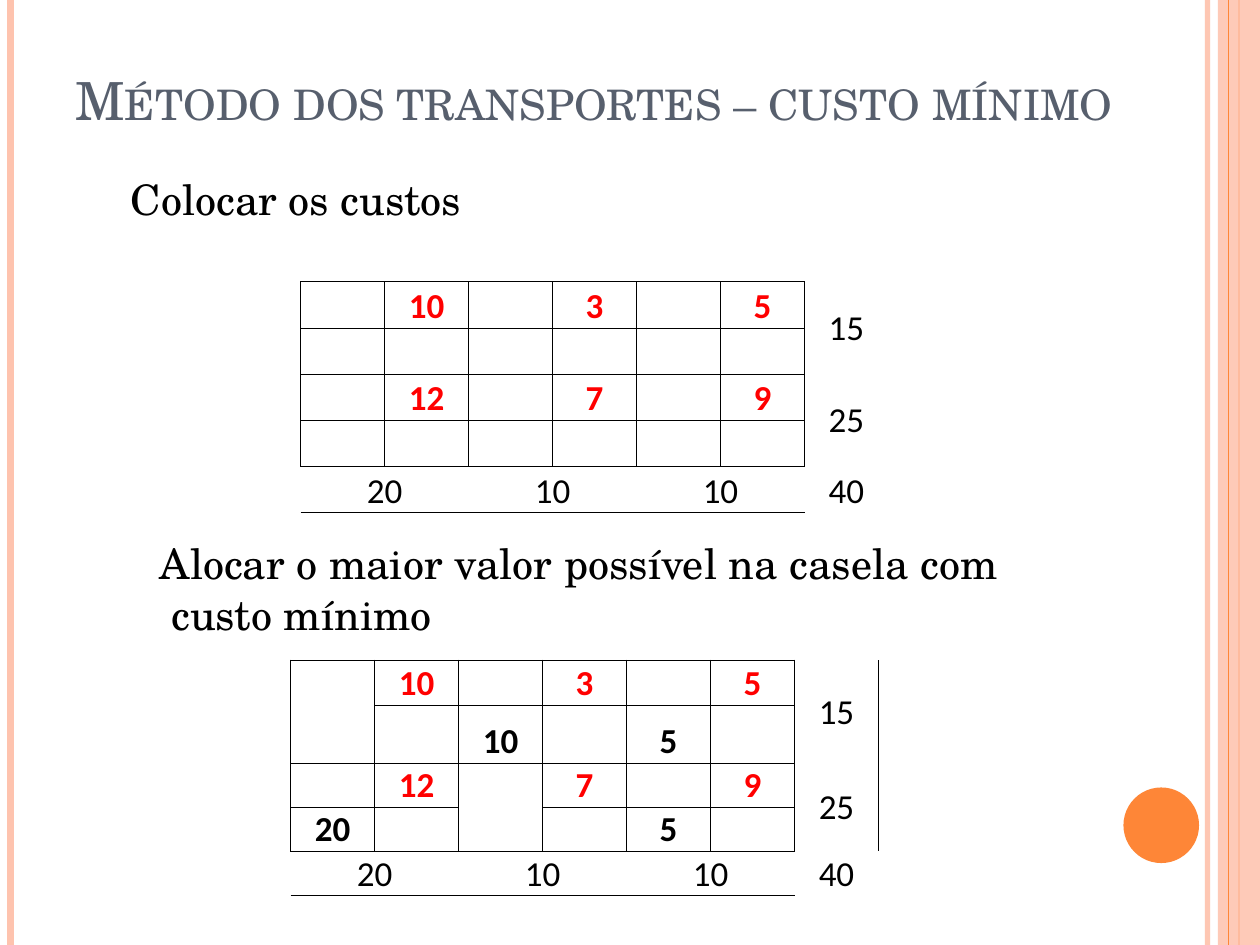
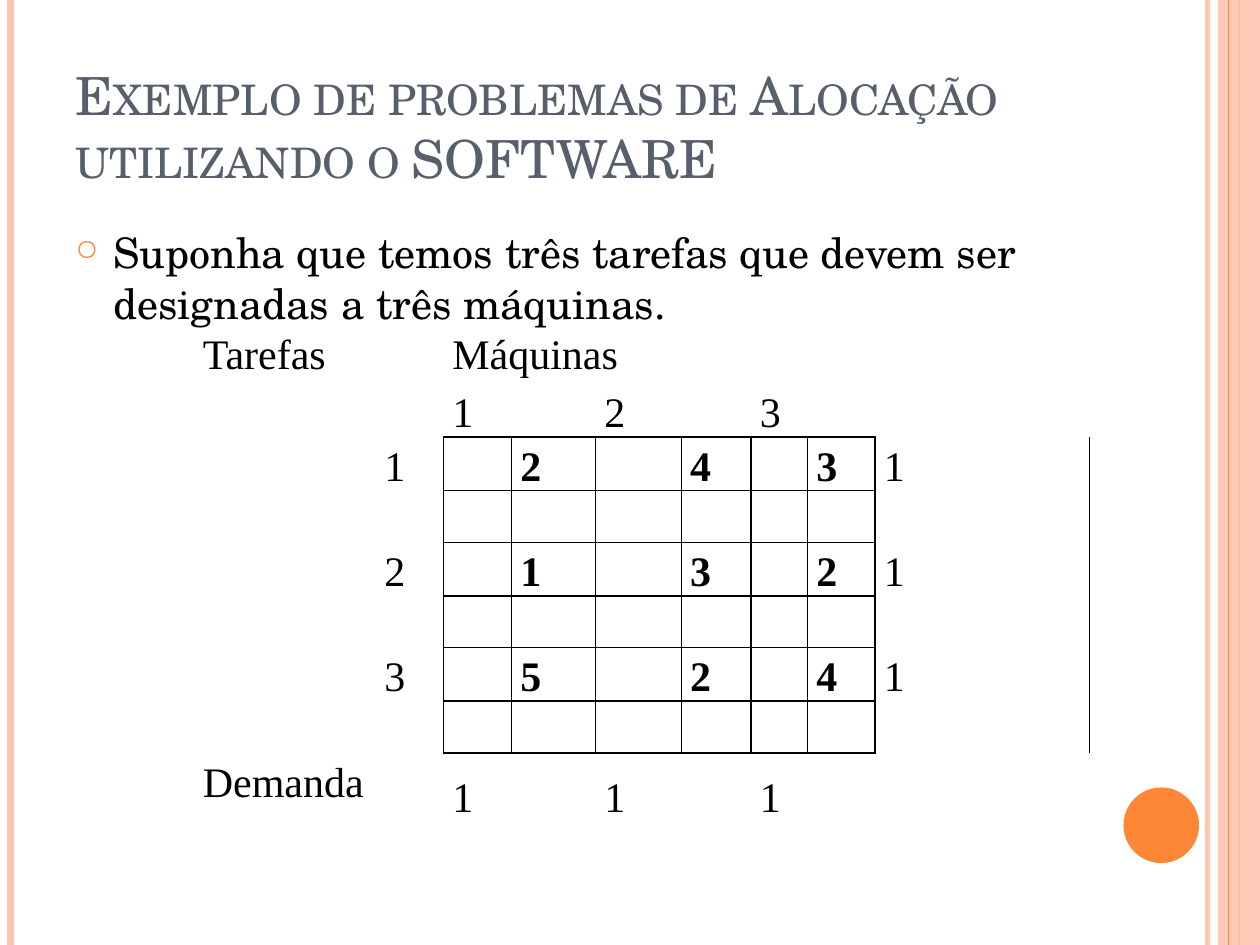
from lxml.etree import SubElement
from pptx import Presentation
from pptx.dml.color import RGBColor
from pptx.enum.shapes import MSO_CONNECTOR, MSO_SHAPE
from pptx.enum.text import MSO_ANCHOR as ANCHOR, MSO_AUTO_SIZE as AUTO, PP_ALIGN as ALIGN
from pptx.oxml.ns import qn
from pptx.util import Pt

WIDTH, HEIGHT = 720, 540
COLORS = {"peach": "FEC3AE", "orange": "FE8637", "title": "575F6D",
          "text": "000000", "cost": "FF0000"}
SERIF, SANS, TIMES = "TeX Gyre Schola", "Calibri", "Times New Roman"
PLAIN_TABLE = "{2D5ABB26-0587-4C30-8999-92F81FD0307C}"
COST_MARGINS = (0.72, 0.72, 0.72, 0)
TASK_MARGINS = (5.04, 0, 5.04, 0)


def rgb(name):
    return RGBColor.from_string(COLORS[name])


def set_font(p, name, size, color="text", bold=False):
    p.font.name, p.font.size, p.font.bold = name, Pt(size), bold
    p.font.color.rgb = rgb(color)


def set_alpha(element, percent):
    for clr in element.iter(qn("a:srgbClr")):
        SubElement(clr, qn("a:alpha"), val=str(percent * 1000))


# Shared slide parts

def add_rule(slide, x, color, width, alpha=None):
    line = slide.shapes.add_connector(MSO_CONNECTOR.STRAIGHT, Pt(x), 0, Pt(x), Pt(HEIGHT))
    line.line.color.rgb, line.line.width = rgb(color), Pt(width)
    sp_pr = line._element.spPr
    if alpha:
        set_alpha(sp_pr, alpha)
    SubElement(sp_pr, qn("a:effectLst"))


def add_solid(slide, kind, box, color):
    sp = slide.shapes.add_shape(kind, *map(Pt, box))
    sp.shadow.inherit = False
    sp.fill.solid()
    sp.fill.fore_color.rgb = rgb(color)
    sp.line.fill.background()
    return sp


def add_backdrop(slide):
    add_rule(slide, 690, "peach", 3, 93)
    add_rule(slide, 6, "peach", 4.5)
    add_rule(slide, 708, "orange", 1.5)
    band = add_solid(slide, MSO_SHAPE.RECTANGLE, (696, 0, 24, HEIGHT), "peach")
    set_alpha(band._element.spPr, 87)
    add_rule(slide, 702, "orange", 0.75)
    add_solid(slide, MSO_SHAPE.OVAL, (642, 450, 43.2, 43.2), "orange")


def add_text(slide, box, lines, size=24, color="text", wrap=True, anchor=ANCHOR.TOP):
    tf = slide.shapes.add_textbox(*map(Pt, box)).text_frame
    tf.word_wrap, tf.vertical_anchor = wrap, anchor
    tf.auto_size = AUTO.NONE if wrap else AUTO.SHAPE_TO_FIT_TEXT
    for i, line in enumerate(lines):
        p = tf.add_paragraph() if i else tf.paragraphs[0]
        p.text = line
        set_font(p, SERIF, size, color)
    return tf


def new_slide(prs, title, title_box):
    slide = prs.slides.add_slide(prs.slide_layouts[6])
    add_backdrop(slide)
    tf = add_text(slide, title_box, [title], 30, "title", anchor=ANCHOR.BOTTOM)
    tf.paragraphs[0].font._rPr.set("cap", "small")
    return slide


def add_bullet(p):
    p.space_before = Pt(6)
    p_pr = p._p.get_or_add_pPr()
    p_pr.set("marL", str(Pt(21.6)))
    p_pr.set("indent", str(-Pt(21.6)))
    color = SubElement(p_pr, qn("a:buClr"))
    SubElement(color, qn("a:srgbClr"), val=COLORS["orange"])
    SubElement(p_pr, qn("a:buSzPct"), val="70000")
    SubElement(p_pr, qn("a:buChar"), char="○")
    # Default run properties follow the bullet in the schema
    p_pr.append(p_pr.find(qn("a:defRPr")))


# Tables

def add_plain_table(slide, left, top, cols, rows, margins):
    table = slide.shapes.add_table(len(rows), len(cols), Pt(left), Pt(top),
                                   Pt(sum(cols)), Pt(sum(rows))).table
    table.first_row = table.horz_banding = False
    table._tbl.tblPr.find(qn("a:tableStyleId")).text = PLAIN_TABLE
    for column, width in zip(table.columns, cols):
        column.width = Pt(width)
    for row, height in zip(table.rows, rows):
        row.height = Pt(height)
    for cell in table.iter_cells():
        (cell.margin_left, cell.margin_top,
         cell.margin_right, cell.margin_bottom) = map(Pt, margins)
        SubElement(cell.text_frame.paragraphs[0]._p, qn("a:endParaRPr"), sz="800")
    return table


def merge(table, r0, c0, r1, c1):
    table.cell(r0, c0).merge(table.cell(r1, c1))


def frame(edges, r0, c0, r1, c1):
    """Note the outline of a block of cells on both sides of each edge."""
    for r in range(r0, r1 + 1):
        edges |= {(r, c0, "L"), (r, c0 - 1, "R"), (r, c1, "R"), (r, c1 + 1, "L")}
    for c in range(c0, c1 + 1):
        edges |= {(r0, c, "T"), (r0 - 1, c, "B"), (r1, c, "B"), (r1 + 1, c, "T")}


def draw_grid(table, groups, first_row, n_rows, width):
    """Frame every route and the cost in its upper right corner."""
    edges = set()
    for r in range(first_row, first_row + 2 * n_rows, 2):
        for start, end in groups:
            frame(edges, r, start, r + 1, end)
            frame(edges, r, end, r, end)
    for r in range(len(table.rows)):
        for c in range(len(table.columns)):
            cell = table.cell(r, c)
            tc_pr = cell._tc.get_or_add_tcPr()
            for side in "LRTB":
                if (r, c, side) in edges:
                    ln = SubElement(tc_pr, qn("a:ln" + side), w=str(Pt(width)))
                    fill = SubElement(ln, qn("a:solidFill"))
                    SubElement(fill, qn("a:srgbClr"), val=COLORS["text"])
            cell.fill.background()


def write(table, r, c, text, anchor=ANCHOR.BOTTOM, color="text", bold=False):
    cell = table.cell(r, c)
    cell.vertical_anchor = anchor
    p = cell.text_frame.paragraphs[0]
    p.text = text
    p.alignment = ALIGN.CENTER
    set_font(p, SANS, 20, color, bold)


def write_task(table, r, c, text, anchor=ANCHOR.TOP, bold=False):
    write(table, r, c, text, anchor, bold=bold)
    p = table.cell(r, c).text_frame.paragraphs[0]
    p.alignment, p.line_spacing = ALIGN.JUSTIFY, 1.15
    set_font(p, TIMES, 24, bold=bold)


def add_transport_table(slide, left, top, n_cols, rows, allocations=(), merges=()):
    table = add_plain_table(slide, left, top, [48] * n_cols, rows, COST_MARGINS)
    groups = [(1, 2), (3, 4), (5, 6)]
    for block in merges:
        merge(table, *block)
    costs = (("10", "3", "5"), ("12", "7", "9"))
    for r, row_costs, supply in zip((1, 3), costs, ("15", "25")):
        for (_, end), cost in zip(groups, row_costs):
            write(table, r, end, cost, color="cost", bold=True)
        merge(table, r, 7, r + 1, 7)
        write(table, r, 7, supply, ANCHOR.MIDDLE)
    for (start, end), demand in zip(groups, ("20", "10", "10")):
        merge(table, 5, start, 5, end)
        write(table, 5, start, demand)
    write(table, 5, 7, "40")
    for r, c, amount in allocations:
        write(table, r, c, amount, bold=True)
    draw_grid(table, groups, 1, 2, 0.5)


def add_task_table(slide):
    cols = [103.7, 38.9, 38.9, 48, 24.5, 24.5, 39.9, 32.3, 38.6, 122.4]
    rows = [33, 31] + [30.2, 29.6] * 3 + [48.2]
    table = add_plain_table(slide, 110.9, 185.8, cols, rows, TASK_MARGINS)
    groups = [(2, 3), (4, 6), (7, 8)]
    merge(table, 0, 2, 0, 4)
    merge(table, 0, 5, 0, 9)
    for r, c, label in ((0, 0, "Tarefas"), (0, 2, "Máquinas"), (8, 0, "Demanda")):
        write_task(table, r, c, label)
    # Machine numbers above, demand below
    for machine, (start, end) in enumerate(groups, 1):
        for r, text in ((1, str(machine)), (8, "1")):
            merge(table, r, start, r, end)
            write_task(table, r, start, text, ANCHOR.MIDDLE)
    # One pair of rows for each task
    for task, costs in enumerate(("243", "132", "524"), 1):
        r = 2 * task
        write_task(table, r, 1, str(task))
        for (_, end), cost in zip(groups, costs):
            write_task(table, r, end, cost, bold=True)
        write_task(table, r, 9, "1")
        for half in (r, r + 1):
            merge(table, half, 4, half, 5)
    draw_grid(table, groups, 2, 3, 1)


# Slides

def transport_slide(prs):
    slide = new_slide(prs, "Método dos transportes – custo mínimo", (36, 21.6, 633.6, 56.9))
    add_transport_table(slide, 123.8, 134.6, 8, [26.4] * 7)
    add_transport_table(
        slide, 118.1, 362.9, 9, [14.3, 25.7, 33.2, 25.2, 25.1, 25.2, 14.2, 14.2],
        allocations=((2, 3, "10"), (2, 5, "5"), (4, 1, "20"), (4, 5, "5")),
        merges=((1, 1, 2, 1), (3, 3, 4, 3)))
    add_text(slide, (67.7, 95.8, 205.2, 36), ["Colocar os custos"], wrap=False)
    add_text(slide, (84.2, 303.8, 504.7, 65.5),
             ["Alocar o maior valor possível na casela com", " custo mínimo"], wrap=False)


def assignment_slide(prs):
    slide = new_slide(prs, "Exemplo de problemas de Alocação utilizando o SOFTWARE",
                      (36, 21.6, 588.2, 90))
    tf = add_text(slide, (36, 126, 588.2, 383.8),
                  ["Suponha que temos três tarefas que devem ser designadas a três máquinas."])
    add_bullet(tf.paragraphs[0])
    add_task_table(slide)


def main():
    prs = Presentation()
    prs.slide_width, prs.slide_height = Pt(WIDTH), Pt(HEIGHT)
    transport_slide(prs)
    assignment_slide(prs)
    prs.save("out.pptx")


if __name__ == "__main__":
    main()
